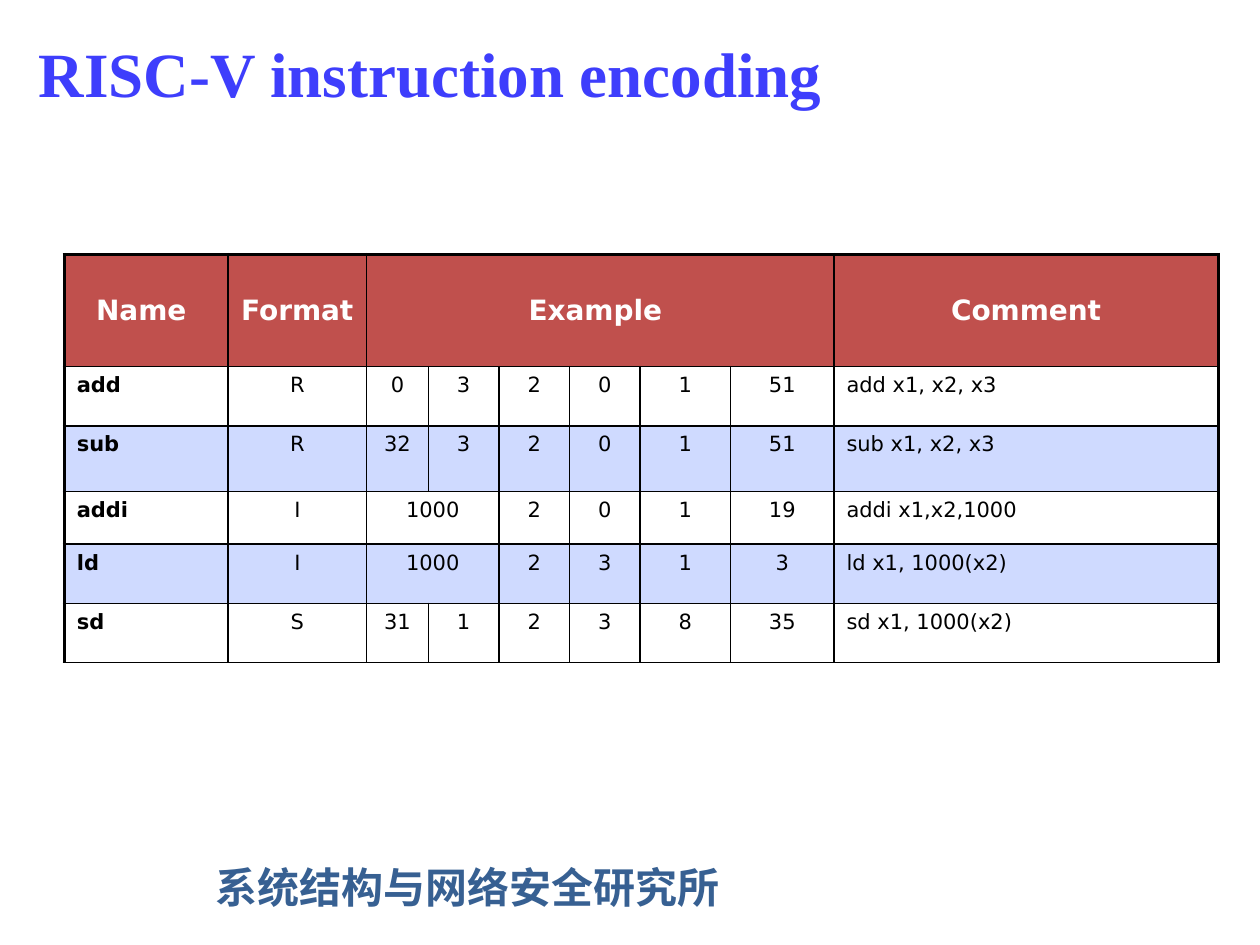
from lxml.etree import SubElement
from pptx import Presentation
from pptx.dml.color import RGBColor
from pptx.enum.text import MSO_ANCHOR as Anchor, PP_ALIGN as Align
from pptx.oxml.ns import qn
from pptx.util import Inches, Pt

COLORS = {
    "title": "3E3EFC",
    "institute": "376092",
    "header": "C0504D",
    "band": "CFDAFF",
    "white": "FFFFFF",
    "black": "000000",
}
TABLE_FONT = "DejaVu Sans"
THIN, THICK = 1, 2.25

COLUMN_WIDTHS = [1.3, 1.1, 0.49, 0.56, 0.56, 0.56, 0.72, 0.82, 3.05]
ROW_HEIGHTS = [0.89, 0.47, 0.52, 0.42, 0.47, 0.47]

# None continues the cell on its left
ROWS = [
    ["Name ", "Format ", "Example ", None, None, None, None, None, "Comment"],
    ["add", "R", "0", "3", "2", "0", "1", "51", "add x1, x2, x3"],
    ["sub", "R", "32", "3", "2", "0", "1", "51", "sub x1, x2, x3"],
    ["addi", "I", "1000", None, "2", "0", "1", "19", "addi x1,x2,1000"],
    ["ld", "I", "1000", None, "2", "3", "1", "3", "ld x1, 1000(x2)"],
    ["sd", "S", "31", "1", "2", "3", "8", "35", "sd x1, 1000(x2)"],
]


def rgb(name):
    return RGBColor.from_string(COLORS[name])


def write_text(text_frame, text, font_name, size, color, bold, align=Align.LEFT):
    paragraph = text_frame.paragraphs[0]
    paragraph.text = text
    paragraph.alignment = align
    font = paragraph.font
    font.name, font.size, font.bold = font_name, Pt(size), bold
    font.color.rgb = rgb(color)
    return paragraph


def add_text(slide, box, text, font_name, size, color, anchor=Anchor.TOP):
    shape = slide.shapes.add_textbox(*map(Inches, box))
    text_frame = shape.text_frame
    text_frame.word_wrap = True
    text_frame.vertical_anchor = anchor
    paragraph = write_text(text_frame, text, font_name, size, color, True)
    # East Asian characters take their own typeface
    font_properties = paragraph._p.pPr.find(qn("a:defRPr"))
    SubElement(font_properties, qn("a:ea"), typeface=font_name)


def set_borders(cell, widths):
    properties = cell._tc.get_or_add_tcPr()
    for side, width in widths.items():
        line = SubElement(properties, qn(f"a:ln{side}"), w=str(Pt(width)))
        fill = SubElement(line, qn("a:solidFill"))
        SubElement(fill, qn("a:srgbClr"), val=COLORS["black"])


def style_cell(cell, row, column):
    last_column = len(COLUMN_WIDTHS) - 1
    set_borders(cell, {
        "L": THICK if column == 0 else THIN,
        "R": THICK if column == last_column else THIN,
        "T": THICK if row == 0 else THIN,
        "B": THIN,
    })
    cell.fill.solid()
    body_fill = "white" if row % 2 else "band"
    cell.fill.fore_color.rgb = rgb("header" if row == 0 else body_fill)


def fill_cell(cell, text, row, column):
    is_header = row == 0
    is_side = column in (0, len(COLUMN_WIDTHS) - 1)
    cell.vertical_anchor = Anchor.MIDDLE if is_header else Anchor.TOP
    write_text(
        cell.text_frame, text, TABLE_FONT,
        size=16 if is_header else 12,
        color="white" if is_header else "black",
        bold=is_header or column == 0,
        align=Align.LEFT if is_side and not is_header else Align.CENTER,
    )


def add_encoding_table(slide, left, top):
    frame = slide.shapes.add_table(
        len(ROWS), len(COLUMN_WIDTHS), Inches(left), Inches(top),
        Inches(sum(COLUMN_WIDTHS)), Inches(sum(ROW_HEIGHTS)))
    table = frame.table
    for column, width in zip(table.columns, COLUMN_WIDTHS):
        column.width = Inches(width)
    for row, height in zip(table.rows, ROW_HEIGHTS):
        row.height = Inches(height)

    for row, texts in enumerate(ROWS):
        for column, text in enumerate(texts):
            cell = table.cell(row, column)
            style_cell(cell, row, column)
            if text is None:
                continue
            fill_cell(cell, text, row, column)
            end = column
            while end + 1 < len(texts) and texts[end + 1] is None:
                end += 1
            if end > column:
                cell.merge(table.cell(row, end))


def main():
    presentation = Presentation()
    presentation.slide_width = Inches(10)
    presentation.slide_height = Inches(7.5)
    slide = presentation.slides.add_slide(presentation.slide_layouts[6])

    # Institute name at the foot
    add_text(slide, (1.61, 6.79, 5.28, 0.5), "系统结构与网络安全研究所",
             "Noto Sans CJK SC", 24, "institute")
    # Title
    add_text(slide, (0.21, 0.13, 8.33, 0.89), "RISC-V instruction encoding",
             "Times New Roman", 36, "title", Anchor.MIDDLE)
    # Instruction table
    add_encoding_table(slide, 0.51, 2.02)

    presentation.save("out.pptx")


if __name__ == "__main__":
    main()
